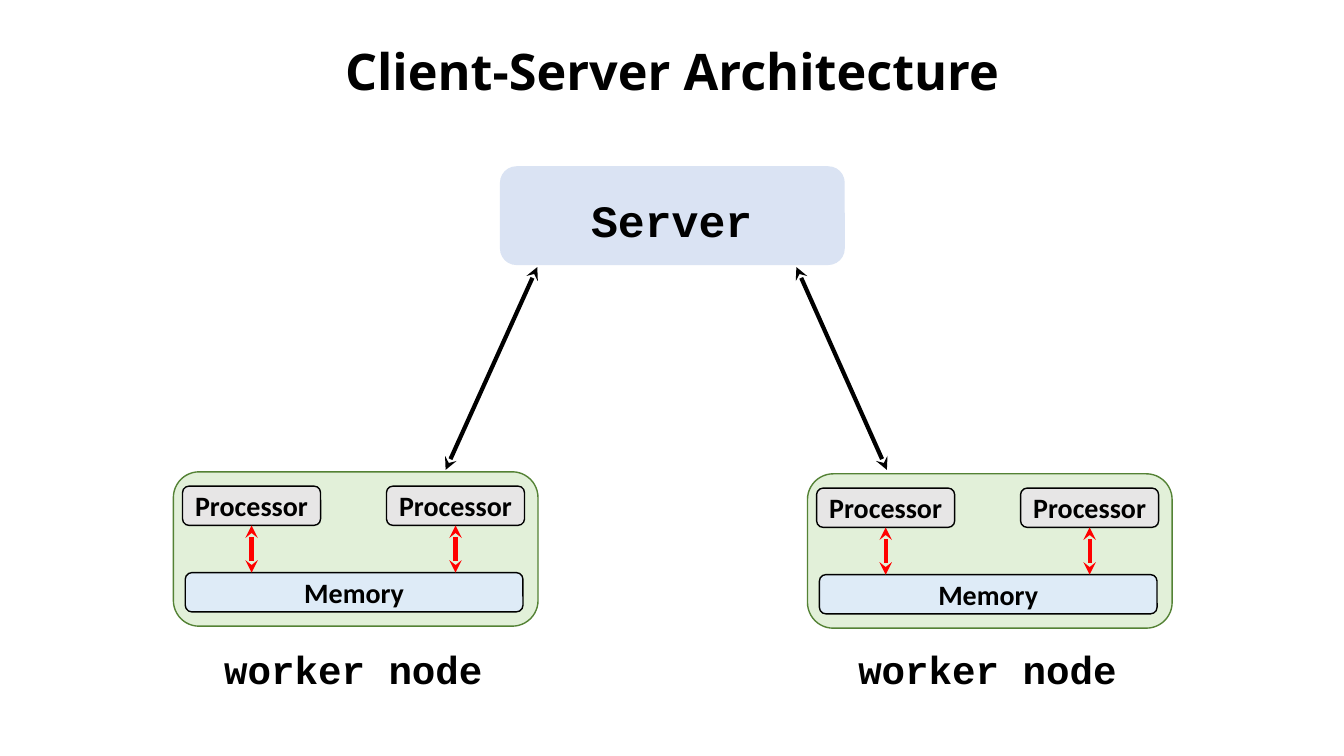
from pptx import Presentation
from pptx.dml.color import RGBColor
from pptx.enum.shapes import MSO_CONNECTOR, MSO_SHAPE
from pptx.enum.text import MSO_ANCHOR, MSO_AUTO_SIZE, PP_ALIGN
from pptx.oxml.ns import qn
from pptx.util import Cm, Pt
from lxml.etree import SubElement

COLOURS = {
    "black": "000000",
    "server": "DAE3F3",
    "worker": "E2F0D9",
    "worker edge": "548235",
    "processor": "E7E6E6",
    "memory": "DEEBF7",
    "bus": "FF0000",
}


def add_box(shapes, left, top, width, height, fill=None, edge=None,
            text="", font="Calibri", size=20, align=PP_ALIGN.CENTER):
    """Add a rounded box, or a non-wrapping text box when there is no fill."""
    place = Cm(left), Cm(top), Cm(width), Cm(height)
    if fill:
        box = shapes.add_shape(MSO_SHAPE.ROUNDED_RECTANGLE, *place)
        box.shadow.inherit = False
        box.fill.solid()
        box.fill.fore_color.rgb = RGBColor.from_string(COLOURS[fill])
        if edge:
            box.line.color.rgb = RGBColor.from_string(COLOURS[edge])
            box.line.width = Pt(1)
        else:
            box.line.fill.background()
        box.text_frame.vertical_anchor = MSO_ANCHOR.MIDDLE
    else:
        box = shapes.add_textbox(*place)
        box.text_frame.word_wrap = False
        box.text_frame.auto_size = MSO_AUTO_SIZE.SHAPE_TO_FIT_TEXT
    if text:
        box.text_frame.text = text
        para = box.text_frame.paragraphs[0]
        para.alignment = align
        span = para.runs[0].font
        span.name, span.size, span.bold = font, Pt(size), True
        span.color.rgb = RGBColor.from_string(COLOURS["black"])


def add_double_arrow(shapes, x1, y1, x2, y2, colour):
    arrow = shapes.add_connector(MSO_CONNECTOR.STRAIGHT, Cm(x1), Cm(y1), Cm(x2), Cm(y2))
    arrow.line.color.rgb = RGBColor.from_string(COLOURS[colour])
    arrow.line.width = Pt(3)
    outline = arrow.line._get_or_add_ln()
    for end in ("a:headEnd", "a:tailEnd"):
        SubElement(outline, qn(end), type="stealth")
    SubElement(arrow._element.spPr, qn("a:effectLst"))


deck = Presentation()
deck.slide_width, deck.slide_height = Cm(33.87), Cm(19.05)
page = deck.slides.add_slide(deck.slide_layouts[5])

# Title
title = page.shapes.title
title.left, title.top, title.width, title.height = Cm(0), Cm(0.03), Cm(33.87), Cm(3.68)
title.text_frame.text = "Client-Server Architecture"
title.text_frame.auto_size = MSO_AUTO_SIZE.NONE
title.text_frame.vertical_anchor = MSO_ANCHOR.MIDDLE
heading = title.text_frame.paragraphs[0]
heading.alignment = PP_ALIGN.CENTER
heading.line_spacing = 0.9
heading_font = heading.runs[0].font
heading_font.name, heading_font.size, heading_font.bold = "Noto Sans", Pt(36), True
heading_font.color.rgb = RGBColor.from_string(COLOURS["black"])

# Worker nodes: two processors, each linked to the shared memory
processor_width, bar_height = 3.48, 0.99
for left, top in ((4.37, 11.89), (20.35, 11.94)):
    worker = page.shapes.add_group_shape().shapes
    add_box(worker, left, top, 9.19, 3.89, "worker", "worker edge")
    memory_top = top + 2.54
    add_box(worker, left + 0.3, memory_top, 8.51, bar_height, "memory", "black", "Memory")
    for column in range(2):
        processor_left = left + 0.23 + column * 5.14
        processor_top = top + 0.36
        add_box(worker, processor_left, processor_top, processor_width, bar_height,
                "processor", "black", "Processor")
        middle = processor_left + processor_width / 2
        add_double_arrow(worker, middle, processor_top + bar_height,
                         middle, memory_top, "bus")
    add_box(page.shapes, left + 1.03, 16.13, 7.09, 1.45, text="worker node",
            font="Courier New", size=28, align=PP_ALIGN.LEFT)

# Server and its links to the workers
server = page.shapes.add_group_shape().shapes
add_box(server, 12.6, 4.19, 8.69, 2.49, "server")
add_box(server, 14.07, 4.72, 5.72, 1.63, text="Server", font="Courier New", size=32)
for server_x, worker_x in ((13.54, 11.23), (20.07, 22.35)):
    add_double_arrow(page.shapes, server_x, 6.73, worker_x, 11.84, "black")

deck.save("out.pptx")
